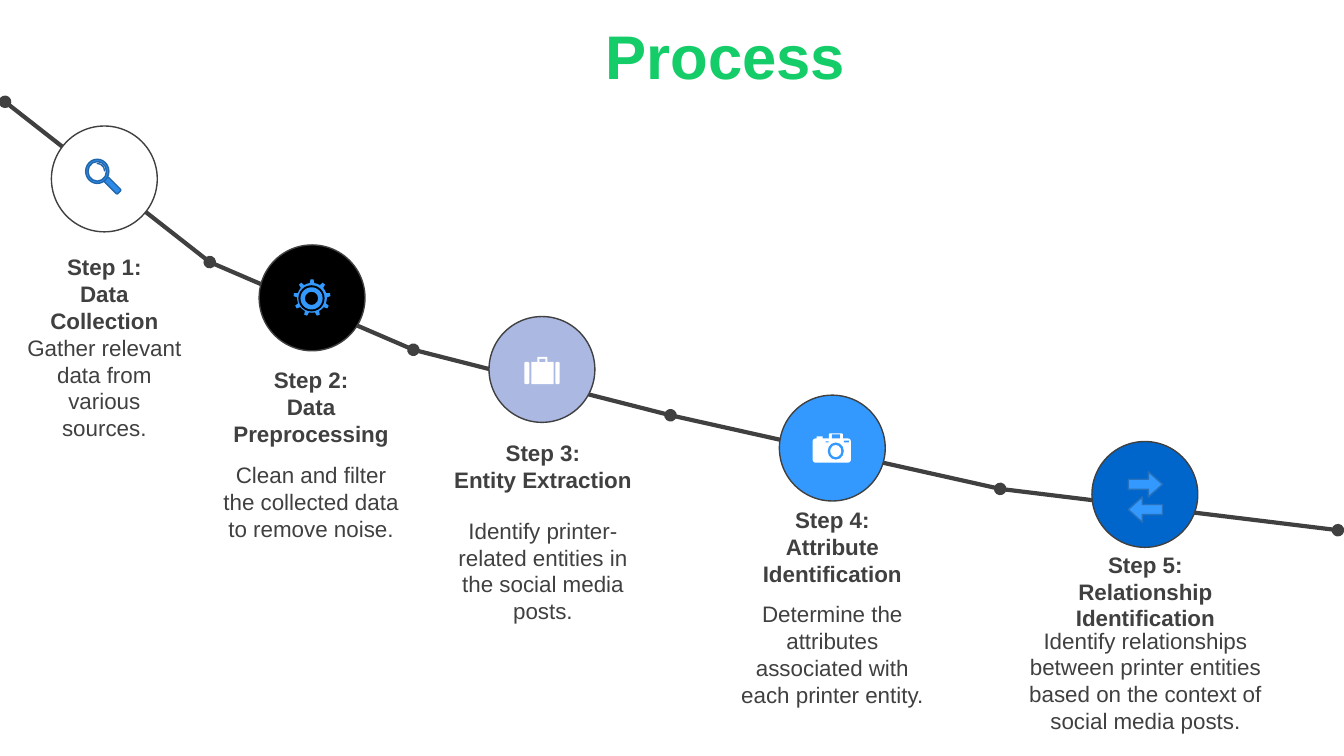
from itertools import pairwise

from lxml import etree
from pptx import Presentation
from pptx.dml.color import RGBColor
from pptx.enum.shapes import MSO_CONNECTOR, MSO_SHAPE
from pptx.enum.text import MSO_ANCHOR, PP_ALIGN
from pptx.oxml.ns import qn
from pptx.util import Inches, Pt

OVAL, RECT, ROUND = MSO_SHAPE.OVAL, MSO_SHAPE.RECTANGLE, MSO_SHAPE.ROUNDED_RECTANGLE
RING, GEAR, ARC = MSO_SHAPE.DONUT, MSO_SHAPE.GEAR_9, MSO_SHAPE.ARC
RIGHT, LEFT = MSO_SHAPE.RIGHT_ARROW, MSO_SHAPE.LEFT_ARROW
STRAIGHT = MSO_CONNECTOR.STRAIGHT
MIDDLE, TOP, CENTER = MSO_ANCHOR.MIDDLE, MSO_ANCHOR.TOP, PP_ALIGN.CENTER

THEME = {
    "font": "Arial", "title_size": 44, "text_size": 16,
    "green": "14CD68", "ink": "404040", "white": "FFFFFF", "black": "000000",
    "lilac": "AAB8E2", "sky": "3399FF", "navy": "0066CC",
    "lens": "2D8AE7", "rim": "2166AB", "edge": "2671BD",
}

TITLE = "Process"
PATH = [(0.05, 1.01), (2.08, 2.6), (4.1, 3.47), (6.65, 4.12), (9.92, 4.85), (13.27, 5.26)]
DISC = 1.05

# disc place, disc colour, text left and width, heading (top, height), body (top, height)
STEPS = [
    ((0.51, 1.25), "white", (0.15, 1.77), (2.46, 0.91), (3.39, 0.91),
     "Data Collection", "Gather relevant data from various sources."),
    ((2.57, 2.43), "black", (2.06, 2.05), (3.58, 0.91), (4.52, 0.91),
     "Data Preprocessing", "Clean and filter the collected data to remove noise."),
    ((4.85, 3.14), "lilac", (4.36, 2.05), (4.3, 0.64), (5.07, 1.18),
     "Entity Extraction", "Identify printer-related entities in the social media posts."),
    ((7.73, 3.92), "sky", (7.23, 2.05), (4.97, 0.91), (5.9, 1.18),
     "Attribute Identification",
     "Determine the attributes associated with each printer entity."),
    ((10.83, 4.38), "navy", (10.05, 2.62), (5.41, 0.91), (6.16, 1.18),
     "Relationship Identification",
     "Identify relationships between printer entities based on the context of "
     "social media posts."),
]

# shape, box, fill, line, adjustments, turn
ICONS = {
    "search": [
        (ROUND, (1.02, 1.81, 0.19, 0.06), "lens", "rim", [0.2], 45),
        (RING, (0.85, 1.58, 0.23, 0.24), "lens", "rim", [0.1], 0),
        (ARC, (0.88, 1.62, 0.16, 0.16), None, "rim", [], 0),
    ],
    "gear": [
        (GEAR, (2.91, 2.77, 0.37, 0.37), "sky", None, [], 0),
        (OVAL, (2.96, 2.83, 0.26, 0.26), "black", None, [], 0),
        (RING, (2.98, 2.85, 0.22, 0.22), "sky", None, [0.2], 0),
    ],
    "case": [
        (ROUND, (5.2, 3.59, 0.05, 0.22), "white", None, [0.3], 0),
        (RECT, (5.27, 3.59, 0.22, 0.22), "white", None, [], 0),
        (ROUND, (5.51, 3.59, 0.04, 0.22), "white", None, [0.3], 0),
        (ROUND, (5.33, 3.54, 0.1, 0.06), "white", None, [0.2], 0),
        (RECT, (5.35, 3.56, 0.06, 0.03), "lilac", None, [], 0),
    ],
    "camera": [
        (ROUND, (8.06, 4.35, 0.38, 0.24), "white", None, [0.12], 0),
        (RECT, (8.1, 4.33, 0.06, 0.03), "white", None, [], 0),
        (ROUND, (8.22, 4.3, 0.14, 0.06), "white", None, [0.2], 0),
        (RECT, (8.25, 4.31, 0.08, 0.04), "sky", None, [], 0),
        (RECT, (8.19, 4.38, 0.03, 0.01), "sky", None, [], 0),
        (RECT, (8.37, 4.37, 0.05, 0.02), "sky", None, [], 0),
        (RING, (8.21, 4.39, 0.16, 0.17), "sky", None, [0.15], 0),
    ],
    "swap": [
        (LEFT, (11.19, 4.93, 0.34, 0.25), "sky", "edge", [0.4, 0.56], 0),
        (RIGHT, (11.19, 4.68, 0.34, 0.25), "sky", "edge", [0.4, 0.56], 0),
    ],
}


def color(name):
    return RGBColor.from_string(THEME[name])


def add_line(slide, start, end, last):
    """Draw one stretch of the path, with a dot at its start and at the path's end."""
    line = slide.shapes.add_connector(STRAIGHT, *map(Inches, start + end))
    line.line.color.rgb = color("ink")
    line.line.width = Pt(3)
    pen = line.line._get_or_add_ln()
    for tag in ("a:headEnd", "a:tailEnd") if last else ("a:headEnd",):
        etree.SubElement(pen, qn(tag), type="oval")
    etree.SubElement(line._element.spPr, qn("a:effectLst"))


def add_part(slide, kind, box, fill, edge, adjust=(), turn=0):
    part = slide.shapes.add_shape(kind, *map(Inches, box))
    part.shadow.inherit = False
    part.rotation = turn
    for i, value in enumerate(adjust):
        part.adjustments[i] = value
    if fill:
        part.fill.solid()
        part.fill.fore_color.rgb = color(fill)
    else:
        part.fill.background()
    if edge:
        part.line.color.rgb = color(edge)
        part.line.width = Pt(1)
    else:
        part.line.fill.background()


def add_text(slide, box, lines, size, tint, bold, anchor):
    frame = slide.shapes.add_textbox(*map(Inches, box)).text_frame
    frame.word_wrap = True
    frame.vertical_anchor = anchor
    frame.text = "\n".join(lines)
    for para in frame.paragraphs:
        para.alignment = CENTER
        for run in para.runs:
            run.font.name = THEME["font"]
            run.font.size = Pt(THEME[size])
            run.font.bold = bold
            run.font.color.rgb = color(tint)


def main():
    deck = Presentation()
    deck.slide_width, deck.slide_height = Inches(13.33), Inches(7.5)
    slide = deck.slides.add_slide(deck.slide_layouts[6])

    for start, end in pairwise(PATH):
        add_line(slide, start, end, end == PATH[-1])

    for num, (place, fill, (left, width), head, body, name, note) in enumerate(STEPS, 1):
        add_part(slide, OVAL, (*place, DISC, DISC), fill, "ink")
        texts = [(head, [f"Step {num}:", name], True), (body, [note], False)]
        for (top, height), lines, bold in texts:
            add_text(slide, (left, top, width, height), lines,
                     "text_size", "ink", bold, MIDDLE)

    for parts in ICONS.values():
        for part in parts:
            add_part(slide, *part)

    add_text(slide, (2.55, 0.13, 9.29, 0.73), [TITLE], "title_size", "green", True, TOP)
    deck.save("out.pptx")


if __name__ == "__main__":
    main()
